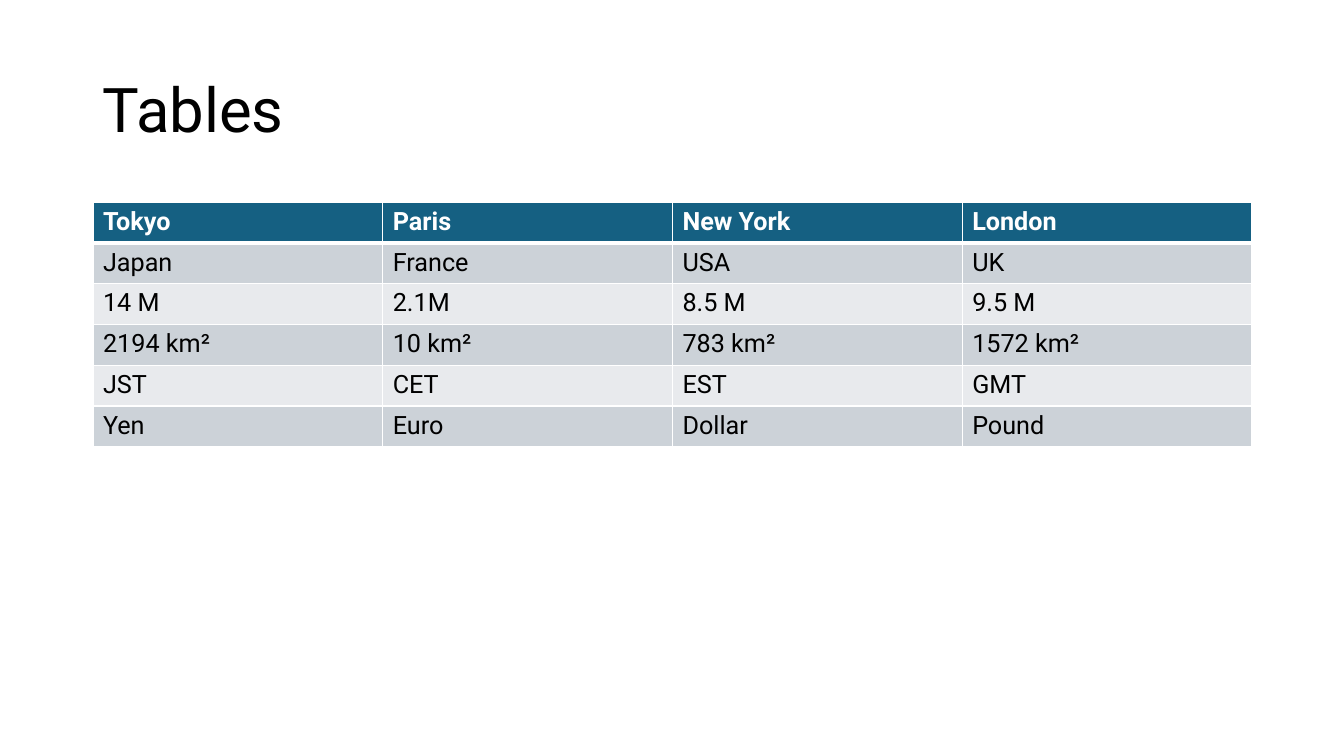
from lxml import etree
from pptx import Presentation, util as u
from pptx.dml.color import RGBColor
from pptx.enum import text
from pptx.oxml import ns

TITLE = "Tables"
ROWS = [
    ("Tokyo", "Paris", "New York", "London"),
    ("Japan", "France", "USA", "UK"),
    ("14 M", "2.1M", "8.5 M", "9.5 M"),
    ("2194 km²", "10 km²", "783 km²", "1572 km²"),
    ("JST", "CET", "EST", "GMT"),
    ("Yen", "Euro", "Dollar", "Pound"),
]

WHITE = RGBColor(0xFF, 0xFF, 0xFF)
BLACK = RGBColor(0x00, 0x00, 0x00)
TEAL = RGBColor(0x15, 0x60, 0x82)
DARK = RGBColor(0xCC, 0xD2, 0xD8)
LIGHT = RGBColor(0xE8, 0xEA, 0xED)

FONT = "Roboto"
HEAD = {"name": FONT, "size": u.Pt(18), "bold": True}
BODY = {"name": FONT, "size": u.Pt(18), "bold": False}
LEAD = {"name": FONT, "size": u.Pt(44), "bold": False}
SCALE = 914400 / 100.8
LEFT, WIDTH = 93, 1159


def px(n):
    return u.Emu(round(n * SCALE))


def style(font, form, color):
    for key, val in form.items():
        setattr(font, key, val)
    font.color.rgb = color


def edge(cell, side, pts):
    line = etree.SubElement(cell._tc.get_or_add_tcPr(), ns.qn("a:ln" + side), w=str(u.Pt(pts)))
    fill = etree.SubElement(line, ns.qn("a:solidFill"))
    etree.SubElement(fill, ns.qn("a:srgbClr"), val=str(WHITE))


def add_title(slide):
    box = slide.shapes.add_textbox(px(LEFT), px(40), px(WIDTH), px(146))
    frame = box.text_frame
    frame.word_wrap = True
    frame.vertical_anchor = text.MSO_ANCHOR.MIDDLE
    para = frame.paragraphs[0]
    para.line_spacing = 0.9
    run = para.add_run()
    run.text = TITLE
    style(run.font, LEAD, BLACK)


def add_grid(slide):
    frame = slide.shapes.add_table(
        len(ROWS), len(ROWS[0]), px(LEFT), px(202), px(WIDTH), px(245))
    for r, row in enumerate(ROWS):
        for c, word in enumerate(row):
            cell = frame.table.cell(r, c)
            for side in "LRTB":
                thick = (r, side) in ((0, "B"), (1, "T"))
                edge(cell, side, 3 if thick else 1)
            cell.fill.solid()
            cell.fill.fore_color.rgb = TEAL if r == 0 else DARK if r % 2 else LIGHT
            run = cell.text_frame.paragraphs[0].add_run()
            run.text = word
            style(run.font, BODY if r else HEAD, BLACK if r else WHITE)


def main():
    deck = Presentation()
    deck.slide_width, deck.slide_height = px(1344), px(756)
    slide = deck.slides.add_slide(deck.slide_layouts[6])
    add_title(slide)
    add_grid(slide)
    deck.save("out.pptx")


if __name__ == "__main__":
    main()
